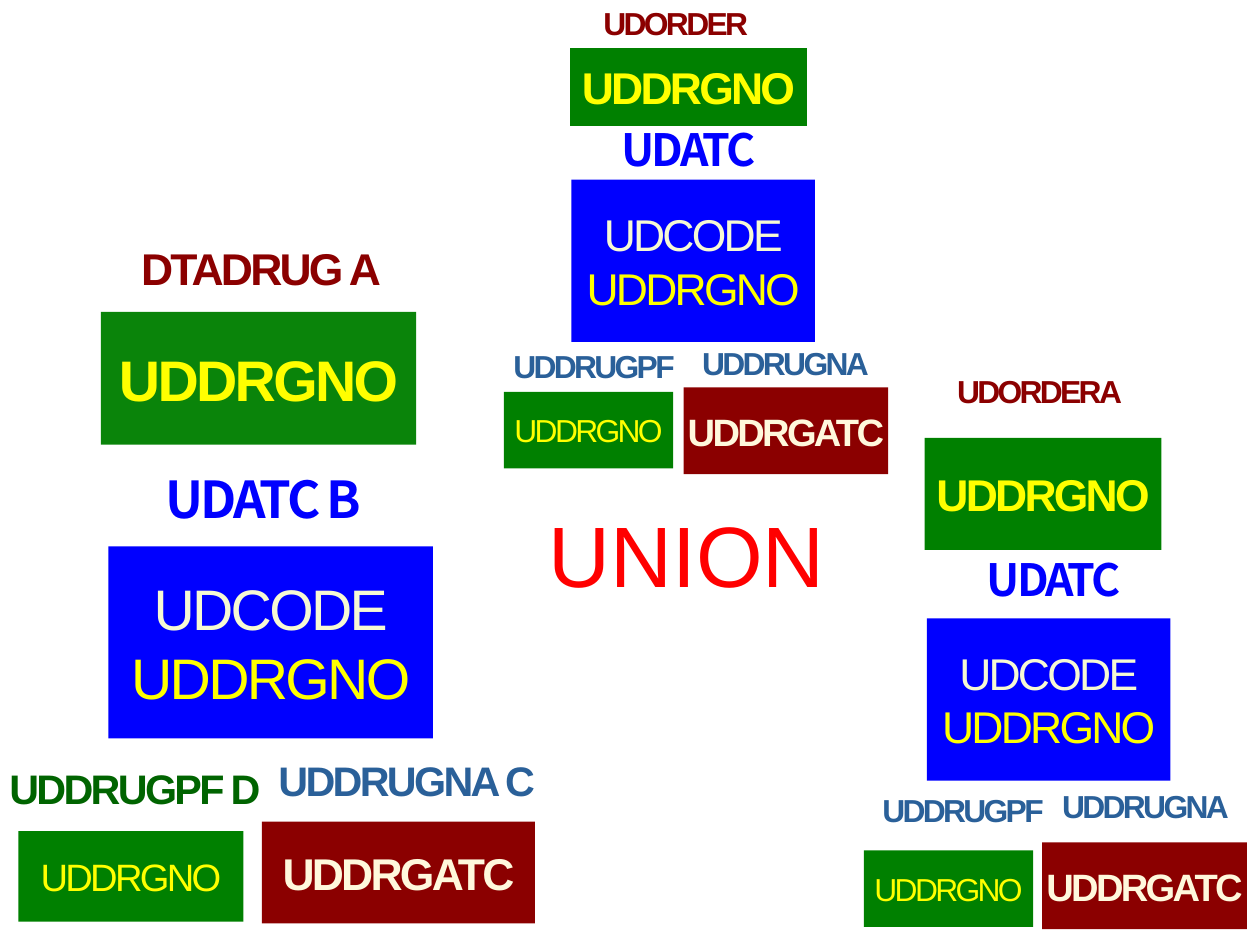
from lxml import etree
from pptx import Presentation
from pptx.dml.color import RGBColor
from pptx.enum.shapes import MSO_SHAPE
from pptx.enum.text import MSO_ANCHOR, MSO_AUTO_SIZE, PP_ALIGN
from pptx.oxml.ns import qn
from pptx.util import Cm, Pt

RECTANGLE = MSO_SHAPE.RECTANGLE
TOP, MIDDLE = MSO_ANCHOR.TOP, MSO_ANCHOR.MIDDLE
LEFT, CENTER = PP_ALIGN.LEFT, PP_ALIGN.CENTER
GROW = MSO_AUTO_SIZE.SHAPE_TO_FIT_TEXT

BLUE = RGBColor(0x00, 0x00, 0xFF)
GREEN = RGBColor(0x00, 0x80, 0x00)
DARK_GREEN = RGBColor(0x00, 0x64, 0x00)
DARK_RED = RGBColor(0x8B, 0x00, 0x00)
RED = RGBColor(0xFF, 0x00, 0x00)
STEEL = RGBColor(0x2A, 0x60, 0x99)
YELLOW = RGBColor(0xFF, 0xFF, 0x00)
IVORY = RGBColor(0xF6, 0xF9, 0xD4)
CORNSILK = RGBColor(0xFF, 0xF8, 0xDC)

SANS = "Arial"
CJK = "Noto Sans CJK JP"
TIGHT = -170  # letter spacing in hundredths of a point

# Fields of each kind of table: fill, bold, then (field, colour) lines
CODE = (BLUE, False, [("UDCODE", IVORY), ("UDDRGNO", YELLOW)])
ORDER = (GREEN, True, [("UDDRGNO", YELLOW)])
ATC = (DARK_RED, True, [("UDDRGATC", CORNSILK)])
DRUG = (GREEN, False, [("UDDRGNO", YELLOW)])


def write_line(paragraph, text, size, color, bold, font=SANS, spacing=TIGHT, align=CENTER):
    paragraph.text = text
    paragraph.alignment = align
    run = paragraph.runs[0]
    run.font.name = font
    run.font.size = Pt(size)
    run.font.bold = bold
    run.font.color.rgb = color
    if spacing:
        run.font._element.set("spc", str(spacing))


prs = Presentation()
prs.slide_width = Cm(28)
prs.slide_height = Cm(21)
slide = prs.slides.add_slide(prs.slide_layouts[6])

# Left tree: table kind, text size, left, top, width, height in cm
tables = [
    (CODE, 36, 2.41, 12.14, 7.21, 4.27),
    (ORDER, 36, 2.24, 6.93, 7.01, 2.95),
    (ATC, 28, 5.82, 18.26, 6.07, 2.26),
    (DRUG, 24, 0.41, 18.47, 5, 2.01),
]
# Table names: text, size, colour, anchor, left, top, width, height in cm
names = [
    ("UDDRUGPF D", 26, DARK_GREEN, MIDDLE, -0.2, 16.36, 6.4, 2.31),
    ("UDDRUGNA C", 26, STEEL, TOP, 5.89, 16.66, 6.3, 1.83),
    ("UDATC B", 32, BLUE, MIDDLE, 2.87, 9.86, 5.97, 2.44),
    ("DTADRUG A", 28, DARK_RED, MIDDLE, 2.51, 5.05, 6.58, 1.8),
    ("UDORDERA", 20, DARK_RED, TOP, 20.8, 8.13, 4.6, 1.37),
    ("UNION", 54, RED, TOP, 11.81, 11.02, 6.91, 3.18),
    ("UDORDER", 20, DARK_RED, TOP, 13.16, -0.05, 4.04, 1.52),
]

# Middle and right trees: same tables, own positions and order height
small_trees = [
    dict(order=(12.67, 1.07), order_height=1.73, code=(12.7, 3.99),
         atc=(15.19, 8.61), drug=(11.2, 8.71),
         udatc=(13.06, 2.59), gna=(15.32, 7.52), gpf=(10.8, 7.59)),
    dict(order=(20.55, 9.73), order_height=2.49, code=(20.6, 13.74),
         atc=(23.16, 18.72), drug=(19.2, 18.9),
         udatc=(21.18, 12.14), gna=(23.32, 17.35), gpf=(19, 17.45)),
]
for tree in small_trees:
    tables += [
        (CODE, 28, *tree["code"], 5.41, 3.61),
        (ORDER, 28, *tree["order"], 5.26, tree["order_height"]),
        (ATC, 24, *tree["atc"], 4.55, 1.93),
        (DRUG, 20, *tree["drug"], 3.76, 1.7),
    ]
    names += [
        ("UDDRUGNA", 20, STEEL, TOP, *tree["gna"], 4.27, 1.55),
        ("UDATC", 28, BLUE, TOP, *tree["udatc"], 4.47, 1.65),
        ("UDDRUGPF", 20, STEEL, TOP, *tree["gpf"], 4.8, 1.45),
    ]

for (fill, bold, fields), size, *place in tables:
    table = slide.shapes.add_shape(RECTANGLE, *map(Cm, place))
    table.shadow.inherit = False
    table.fill.solid()
    table.fill.fore_color.rgb = fill
    table.line.fill.background()
    if fill == GREEN and size == 36:
        tint = table._element.spPr.find(qn("a:solidFill"))[0]
        etree.SubElement(tint, qn("a:alpha")).set("val", "96000")
    frame = table.text_frame
    frame.word_wrap = False
    frame.vertical_anchor = MIDDLE
    frame.margin_left = frame.margin_right = Cm(0.3)
    frame.margin_top = frame.margin_bottom = Cm(0.18)
    frame.text = "\n".join(field for field, _ in fields)
    for paragraph, (field, color) in zip(frame.paragraphs, fields):
        write_line(paragraph, field, size, color, bold)

for text, size, color, anchor, *place in names:
    frame = slide.shapes.add_textbox(*map(Cm, place)).text_frame
    frame.word_wrap = True
    frame.auto_size = GROW
    frame.vertical_anchor = anchor
    union = text == "UNION"
    write_line(frame.paragraphs[0], text, size, color, not union,
               font=CJK if text.startswith("UDATC") else SANS,
               spacing=0 if union else TIGHT,
               align=LEFT if text == "UDORDER" else CENTER)

prs.save("out.pptx")
